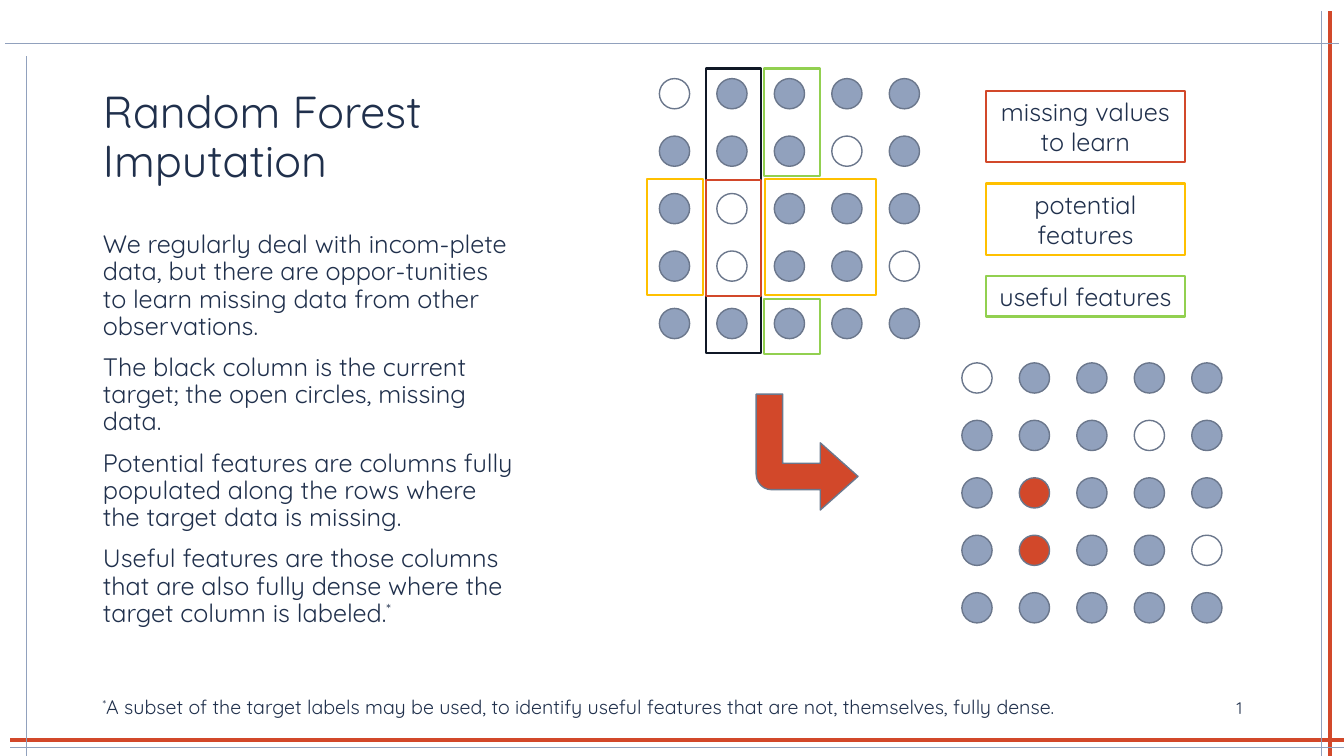
from lxml import etree
from pptx import Presentation, util as u
from pptx.dml.color import RGBColor
from pptx.enum import shapes, text
from pptx.oxml import ns

INK, RED, BLUE, GREY = "20304C", "D2482A", "91A1BD", "6B778C"
BLACK, YELLOW, GREEN, WHITE = "101826", "FFC000", "92D050", "FFFFFF"
DOT_FILLS = {"x": BLUE, "o": WHITE, "r": RED}
SHAPE = shapes.MSO_SHAPE
MIDDLE, TOP = text.MSO_ANCHOR.MIDDLE, text.MSO_ANCHOR.TOP
LEFT, CENTER, RIGHT = text.PP_ALIGN.LEFT, text.PP_ALIGN.CENTER, text.PP_ALIGN.RIGHT

PARAGRAPHS = [
    ["We regularly deal with incom-plete data, but there are oppor-tunities "
     "to learn missing data from other observations."],
    ["The black column is the current target; the open circles, missing data."],
    ["Potential features are columns fully populated along the rows where "
     "the target data is missing."],
    ["Useful features are those columns that are also fully dense where the "
     "target column is labeled.", "*"],
]
FOOTNOTE = ["*", "A subset of the target labels may be used, to identify useful "
            "features that are not, themselves, fully dense."]


def color(value):
    return RGBColor.from_string(value)


def inches(values):
    return [u.Inches(value) for value in values]


def apply(target, values):
    for name, value in values.items():
        setattr(target, name, value)


class Slide:
    """Holds the font and the page, and adds each kind of element to it."""

    def __init__(self, deck, font):
        self.font = font
        self.page = deck.slides.add_slide(deck.slide_layouts[1])

    def fill_text(self, frame, paragraphs, size, anchor=MIDDLE, **formats):
        """Fill a text frame; a span that is a lone asterisk is raised."""
        apply(frame, {"word_wrap": True, "vertical_anchor": anchor,
                      "auto_size": text.MSO_AUTO_SIZE.NONE})
        for index, spans in enumerate(paragraphs):
            para = frame.add_paragraph() if index else frame.paragraphs[0]
            apply(para, {"space_before": u.Pt(10 if index else 0), **formats})
            for words in spans:
                span = para.add_run()
                span.text = words
                apply(span.font, {"name": self.font, "size": u.Pt(size)})
                span.font.color.rgb = color(INK)
                if words == "*":
                    span.font._element.set("baseline", "30000")

    def placeholder(self, index, at, paragraphs, size, anchor):
        box = self.page.placeholders[index]
        apply(box, dict(zip(("left", "top", "width", "height"), inches(at))))
        self.fill_text(box.text_frame, paragraphs, size, anchor,
                       alignment=LEFT, line_spacing=0.9)
        for para in box.text_frame.paragraphs:
            properties = para._p.get_or_add_pPr()
            for name in ("marL", "indent"):
                properties.set(name, "0")
            etree.SubElement(properties, ns.qn("a:buNone"))

    def textbox(self, at, spans, size, alignment):
        box = self.page.shapes.add_textbox(*inches(at))
        self.fill_text(box.text_frame, [spans], size, alignment=alignment)

    def line(self, ends, stroke, width):
        rule = self.page.shapes.add_connector(
            shapes.MSO_CONNECTOR.STRAIGHT, *inches(ends))
        rule.line.color.rgb = color(stroke)
        rule.line.width = u.Pt(width)
        etree.SubElement(rule._element.spPr, ns.qn("a:effectLst"))

    def shape(self, kind, at, stroke, width, fill=None, parent=None):
        item = (parent or self.page).shapes.add_shape(kind, *inches(at))
        item.shadow.inherit = False
        item.line.color.rgb = color(stroke)
        item.line.width = u.Pt(width)
        if fill:
            item.fill.solid()
            item.fill.fore_color.rgb = color(fill)
        else:
            item.fill.background()
        return item

    def frame(self, at, stroke, label=None):
        box = self.shape(SHAPE.RECTANGLE, at, stroke, 1.5)
        if label:
            self.fill_text(box.text_frame, [[label]], 18, alignment=CENTER)

    def dots(self, left, top, rows, pitch=0.57, size=0.3):
        """Draw a grid of circles, one letter of DOT_FILLS for each."""
        group = self.page.shapes.add_group_shape()
        for row, marks in enumerate(rows):
            for column, mark in enumerate(marks):
                at = (left + column * pitch, top + row * pitch, size, size)
                self.shape(SHAPE.OVAL, at, GREY, 1, DOT_FILLS[mark], group)

    def bent_arrow(self, at, adjustments):
        arrow = self.shape(SHAPE.BENT_ARROW, at, GREY, 1, RED)
        for index, value in enumerate(adjustments):
            arrow.adjustments[index] = value
        arrow._element.spPr.xfrm.set("flipV", "1")


def main():
    deck = Presentation()
    apply(deck, {"slide_width": u.Inches(13.33), "slide_height": u.Inches(7.5)})
    slide = Slide(deck, "Quicksand")

    for ends, stroke, width in [
        ((13.19, 0.11, 13.19, 7.5), RED, 3),
        ((0.1, 7.34, 13.33, 7.34), RED, 3),
        ((0.1, 7.41, 13.33, 7.41), BLUE, 0.5),
        ((13.11, 0.11, 13.11, 7.5), BLUE, 0.5),
        ((0.05, 0.43, 13.28, 0.43), BLUE, 0.5),
        ((0.26, 0.56, 0.26, 7.5), BLUE, 0.5),
    ]:
        slide.line(ends, stroke, width)

    slide.placeholder(0, (0.92, 0.5, 4.3, 1.75),
                      [["Random Forest Imputation"]], 32, MIDDLE)
    slide.placeholder(1, (0.92, 2.25, 4.3, 4.17), PARAGRAPHS, 18, TOP)
    slide.textbox((9.42, 6.82, 3, 0.4), ["1"], 12, RIGHT)
    slide.textbox((0.92, 6.84, 10.2, 0.34), FOOTNOTE, 14, LEFT)

    slide.frame((7, 0.68, 0.55, 2.82), BLACK)
    slide.dots(6.54, 0.78, ["oxxxx", "xxxox", "xoxxx", "xoxxo", "xxxxx"])
    for at, stroke in [
        ((7, 1.79, 0.55, 1.15), RED),
        ((7.59, 1.78, 1.1, 1.15), YELLOW),
        ((6.42, 1.78, 0.55, 1.15), YELLOW),
        ((7.58, 0.68, 0.55, 1.07), GREEN),
        ((7.58, 2.97, 0.55, 0.54), GREEN),
    ]:
        slide.frame(at, stroke)

    legend = [("missing values to learn", RED, 0.71),
              ("potential features", YELLOW, 0.71),
              ("useful features", GREEN, 0.4)]
    for index, (label, stroke, height) in enumerate(legend):
        slide.frame((9.78, 0.9 + index * 0.92, 1.97, height), stroke, label)

    slide.dots(9.54, 3.6, ["oxxxx", "xxxox", "xrxxx", "xrxxo", "xxxxx"])
    slide.bent_arrow((7.5, 3.91, 1.01, 1.15), (0.26, 0.33, 0.37, 0.15))
    deck.save("out.pptx")


if __name__ == "__main__":
    main()
